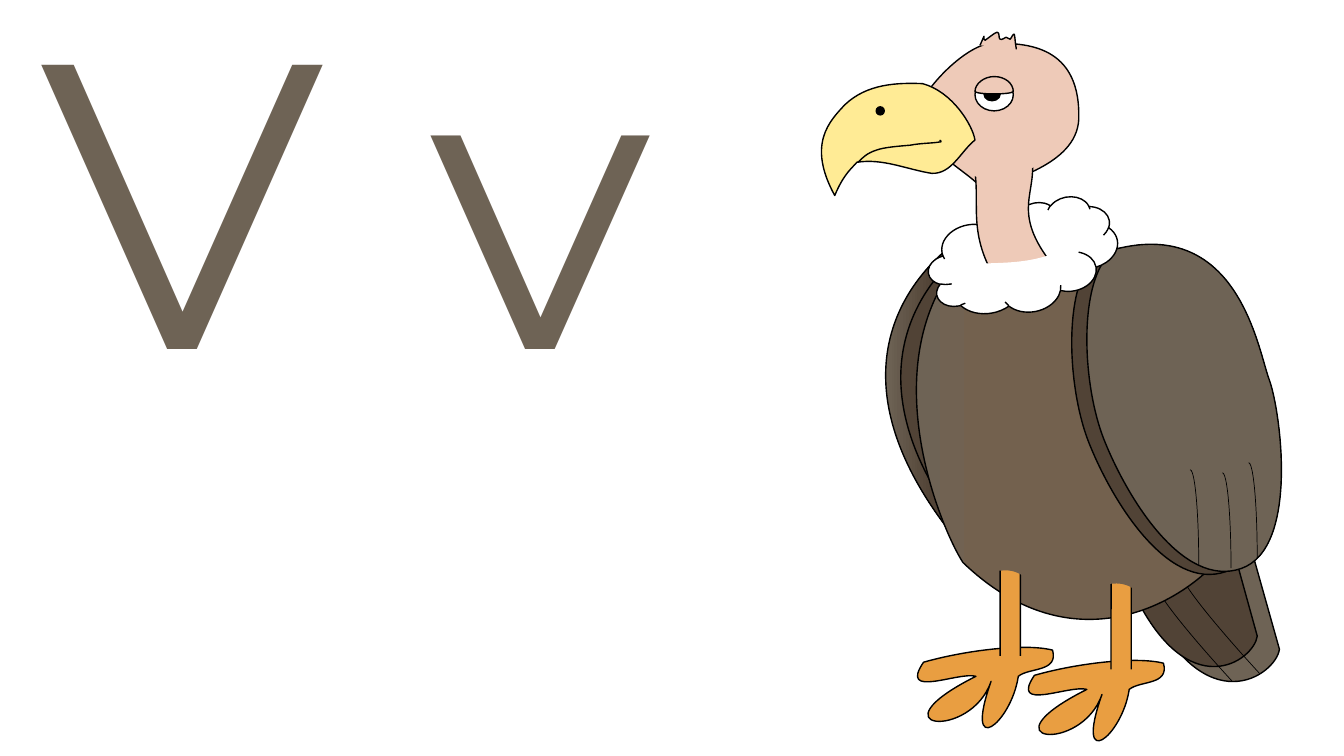
import dataclasses
import math

import lxml.etree
import pptx
import pptx.dml.color
import pptx.enum.shapes
import pptx.enum.text
import pptx.oxml.ns
import pptx.util

PRESET = pptx.enum.shapes.MSO_SHAPE
CURVE_STEPS = 24


@dataclasses.dataclass(frozen=True)
class Theme:
    font: str = "Montserrat"
    letter_size: int = 290
    outline: float = 1
    feather_line: float = 0.5
    black: str = "000000"
    white: str = "FFFFFF"
    feather: str = "6E6355"
    dark_feather: str = "514336"
    body: str = "73614E"
    skin: str = "EECAB8"
    beak: str = "FFEB95"
    leg: str = "E99E41"


def length(inches):
    return pptx.util.Cm(2.54 * inches)


def rgb(code):
    return pptx.dml.color.RGBColor.from_string(code)


def read_path(text, shift, turn):
    """Return (command, points) pairs, with points as complex EMU turned back by turn."""
    segments = []
    for word in text.replace(" Z", "").split():
        if word.isalpha():
            segments.append((word, []))
        else:
            x, y = (float(number) for number in word.split(","))
            point = complex(length(x + shift[0]), length(y + shift[1]))
            segments[-1][1].append(point / turn)
    return segments


def sample(segments):
    """Return points along the segments, from which the true extents follow."""
    points = []
    for command, controls in segments:
        if command != "C":
            points += controls
            continue
        for first, second, end in zip(*[iter(controls)] * 3):
            start = points[-1]
            for step in range(1, CURVE_STEPS + 1):
                t = step / CURVE_STEPS
                u = 1 - t
                points.append(u**3 * start + 3 * u * u * t * first
                              + 3 * u * t * t * second + t**3 * end)
    return points


class Drawing:
    def __init__(self, presentation, theme):
        self.theme = theme
        self.slide = presentation.slides.add_slide(presentation.slide_layouts[5])
        self.shapes = self.slide.shapes

    def title(self, text, left, top, width, height):
        title = self.slide.shapes.title
        title.left, title.top = length(left), length(top)
        title.width, title.height = length(width), length(height)
        frame = title.text_frame
        frame.text = text
        frame.word_wrap = True
        frame.auto_size = pptx.enum.text.MSO_AUTO_SIZE.SHAPE_TO_FIT_TEXT
        frame.vertical_anchor = pptx.enum.text.MSO_ANCHOR.TOP
        paragraph = frame.paragraphs[0]
        paragraph.alignment = pptx.enum.text.PP_ALIGN.LEFT
        paragraph.font.name = self.theme.font
        paragraph.font.size = pptx.util.Pt(self.theme.letter_size)
        paragraph.font.color.rgb = rgb(self.theme.feather)

    def start_group(self):
        self.shapes = self.slide.shapes.add_group_shape().shapes

    def paint(self, shape, fill, line):
        """Fill with nothing, a colour, or a (colour, colour, end position) gradient."""
        shape.shadow.inherit = False
        if fill is None:
            shape.fill.background()
        elif isinstance(fill, str):
            shape.fill.solid()
            shape.fill.fore_color.rgb = rgb(fill)
        else:
            shape.fill.gradient()
            shape.fill.gradient_angle = 0
            first, last = shape.fill.gradient_stops
            first.color.rgb, last.color.rgb = rgb(fill[0]), rgb(fill[1])
            first.position, last.position = 0, fill[2]
        if line:
            shape.line.color.rgb = rgb(self.theme.black)
            shape.line.width = pptx.util.Pt(line)
        else:
            shape.line.fill.background()

    def preset(self, kind, box, fill=None, line=Theme.outline, rotation=0, flip=False):
        shape = self.shapes.add_shape(kind, *(length(value) for value in box))
        shape.rotation = rotation
        if flip:
            shape.element.spPr.get_or_add_xfrm().set("flipH", "1")
        self.paint(shape, fill, line)

    def outline(self, text, fill=None, line=Theme.outline, rotation=0, shift=(0, 0)):
        """Draw an M/L/C/Z path, given in inches as it stands after rotation."""
        angle = math.radians(rotation)
        turn = complex(math.cos(angle), math.sin(angle))
        segments = read_path(text, shift, turn)
        closed = text.endswith("Z")
        start, *rest = [(point.real, point.imag) for point in sample(segments)]
        builder = self.shapes.build_freeform(*start)
        builder.add_line_segments(rest, close=closed)
        shape = builder.convert_to_shape()
        self.set_curves(shape, segments, closed)
        centre = complex(shape.left + shape.width / 2, shape.top + shape.height / 2)
        move = centre * turn - centre
        shape.left += round(move.real)
        shape.top += round(move.imag)
        shape.rotation = rotation
        self.paint(shape, fill, line)

    def set_curves(self, shape, segments, closed):
        qn = pptx.oxml.ns.qn
        path = next(shape.element.iter(qn("a:path")))
        for child in list(path):
            path.remove(child)
        tags = {"M": ("a:moveTo", 1), "L": ("a:lnTo", 1), "C": ("a:cubicBezTo", 3)}
        for command, points in segments:
            tag, count = tags[command]
            for index in range(0, len(points), count):
                node = lxml.etree.SubElement(path, qn(tag))
                for point in points[index:index + count]:
                    lxml.etree.SubElement(node, qn("a:pt"),
                                          x=str(round(point.real - shape.left)),
                                          y=str(round(point.imag - shape.top)))
        if closed:
            lxml.etree.SubElement(path, qn("a:close"))


def draw_tail_and_body(drawing, theme):
    drawing.outline("M 11.03,4.45 L 12.04,4.13 12.69,6.44 C 12.66,6.69 11.95,7.21 "
                    "11.37,5.95 L 11.03,4.45 Z", theme.feather, rotation=341.5)
    drawing.outline("M 10.92,4.44 L 11.87,4.14 12.47,6.31 C 12.44,6.55 11.78,7.03 "
                    "11.23,5.85 L 10.92,4.44 Z", theme.dark_feather, rotation=341.5)
    for box in ((12.2, 5.54, 0.17, 2.33), (12.47, 5.43, 0.17, 2.39)):
        drawing.preset(PRESET.ARC, box, None, theme.feather_line, 317.4, flip=True)
    far_wing = ("M 9.66,5.56 C 7.83,3.51 9.39,2.41 9.68,2.28 10.94,2.4 10.66,3.71 "
                "10.66,4.02 10.71,4.6 9.77,5.58 9.66,5.56 Z")
    drawing.outline(far_wing, (theme.feather, theme.dark_feather, 0.24))
    drawing.outline(far_wing, theme.dark_feather, shift=(0.15, 0.02))
    drawing.outline("M 9.63,2.45 L 10.91,2.51 12.06,5.58 C 11.63,6.04 10.59,6.58 "
                    "9.55,5.58 9.33,5.24 8.59,3.5 9.63,2.45 Z",
                    (theme.feather, theme.body, 0.24))


def draw_leg(drawing, theme, dx, dy):
    drawing.outline("M 9.16,6.57 C 9.58,6.45 10.17,6.38 10.44,6.45 10.5,6.67 10.21,6.62 "
                    "10.1,6.71 10.03,7.18 9.55,7.55 9.83,6.76 9.63,7.35 8.62,7.24 "
                    "9.68,6.71 9.51,6.66 8.91,6.94 9.16,6.57 Z", theme.leg, shift=(dx, dy))
    drawing.preset(PRESET.ROUNDED_RECTANGLE, (9.92 + dx, 5.57 + dy, 0.2, 1.02), theme.leg)
    drawing.preset(PRESET.ROUNDED_RECTANGLE, (9.86 + dx, 6.51 + dy, 0.3, 0.16),
                   theme.leg, line=0)
    drawing.outline("M 9.74,5.69 C 9.9,5.67 10.05,5.6 10.21,5.77 L 10.27,5.43 9.8,5.35 "
                    "9.74,5.69 Z", theme.body, line=0, rotation=9.7, shift=(dx, dy))


def draw_near_wing(drawing, theme):
    wing = ("M 10.8,4.39 C 10.57,3.81 10.54,2.73 10.92,2.5 12.14,2.19 12.33,3.51 "
            "12.44,3.8 12.55,4.1 12.74,5.47 12.16,5.67 11.58,5.87 11.03,4.97 10.8,4.39 Z")
    drawing.outline(wing, (theme.feather, theme.dark_feather, 0.24), rotation=339.9)
    drawing.outline(wing, (theme.dark_feather, theme.feather, 0.22), rotation=339.9,
                    shift=(0.15, -0.03))
    for left, top in ((12.04, 4.69), (12.3, 4.59), (11.72, 4.66)):
        drawing.preset(PRESET.ARC, (left, top, 0.17, 1.89), None, theme.feather_line)


def draw_head(drawing, theme):
    drawing.outline("M 9.08,1.16 C 9.11,0.93 9.57,0.44 9.84,0.43 10.11,0.43 10.7,0.41 "
                    "10.7,1.14 10.72,1.63 10.01,1.77 9.84,1.88 9.66,1.99 9.8,1.92 "
                    "9.67,1.8 9.54,1.68 9.05,1.38 9.08,1.16 Z", theme.skin)
    drawing.outline("M 8.38,1.04 C 8.6,0.83 8.9,0.82 9.15,0.83 9.45,0.91 9.65,1.25 "
                    "9.67,1.39 9.53,1.5 9.44,1.73 9.24,1.72 8.99,1.68 8.76,1.57 8.5,1.61 "
                    "8.46,1.66 8.37,1.72 8.28,1.94 8,1.43 8.23,1.2 8.38,1.04 Z", theme.beak)
    drawing.preset(PRESET.OVAL, (9.67, 0.78, 0.38, 0.32), theme.white)
    drawing.preset(PRESET.OVAL, (9.76, 0.87, 0.16, 0.13), theme.black)
    drawing.preset(PRESET.CLOUD, (9.2, 2.04, 1.9, 1.06), theme.white, rotation=349.5)
    neck = ("M 9.66,1.64 L 10.23,1.55 C 10.3,1.92 10.01,2.09 10.45,2.64 L 9.87,2.76 "
            "C 9.59,2.29 9.73,2.01 9.66,1.64 Z")
    drawing.outline(neck, theme.skin, rotation=349.8)
    drawing.preset(PRESET.OVAL, (9.55, 1.46, 0.81, 0.29), theme.skin, 0, 350.4)
    mouth = ("M 8.51,1.61 C 8.56,1.56 8.6,1.52 8.69,1.49 8.77,1.46 8.92,1.45 9.03,1.44 "
             "9.13,1.42 9.26,1.42 9.31,1.41 9.36,1.41 9.32,1.39 9.32,1.39")
    drawing.outline(mouth)
    collar = ("M 9.64,2.62 C 9.97,2.6 10.26,2.63 10.62,2.44 L 10.67,2.74 9.7,2.92 "
              "9.64,2.62 Z")
    drawing.outline(collar, theme.white, line=0, rotation=349.8)
    eyelid = ("M 9.67,0.91 C 9.67,0.83 9.76,0.76 9.86,0.76 9.97,0.76 10.05,0.83 "
              "10.05,0.91 10.02,0.94 9.7,0.94 9.67,0.91 Z")
    drawing.outline(eyelid, theme.skin)
    drawing.preset(PRESET.OVAL, (8.69, 1.06, 0.08, 0.08), theme.black)
    tuft = ("M 9.72,0.45 L 9.76,0.36 C 9.76,0.37 9.75,0.4 9.77,0.4 9.79,0.39 9.87,0.32 "
            "9.89,0.32 9.92,0.32 9.9,0.38 9.92,0.39 9.94,0.4 9.97,0.37 9.98,0.37 "
            "10,0.37 10,0.39 10.02,0.39 10.03,0.38 10.05,0.33 10.06,0.34 "
            "10.06,0.34 10.07,0.38 10.07,0.41 10.07,0.43 10.08,0.47 10.08,0.49")
    drawing.outline(tuft, theme.skin)


def main():
    presentation = pptx.Presentation()
    presentation.slide_width = length(13.33)
    presentation.slide_height = length(7.5)
    theme = Theme()
    drawing = Drawing(presentation, theme)
    drawing.title("V v", 0.3, -0.61, 7.93, 4.98)
    drawing.start_group()
    draw_tail_and_body(drawing, theme)
    for dx, dy in ((0, 0), (1.1, 0.13)):
        draw_leg(drawing, theme, dx, dy)
    draw_near_wing(drawing, theme)
    draw_head(drawing, theme)
    presentation.save("out.pptx")


if __name__ == "__main__":
    main()
